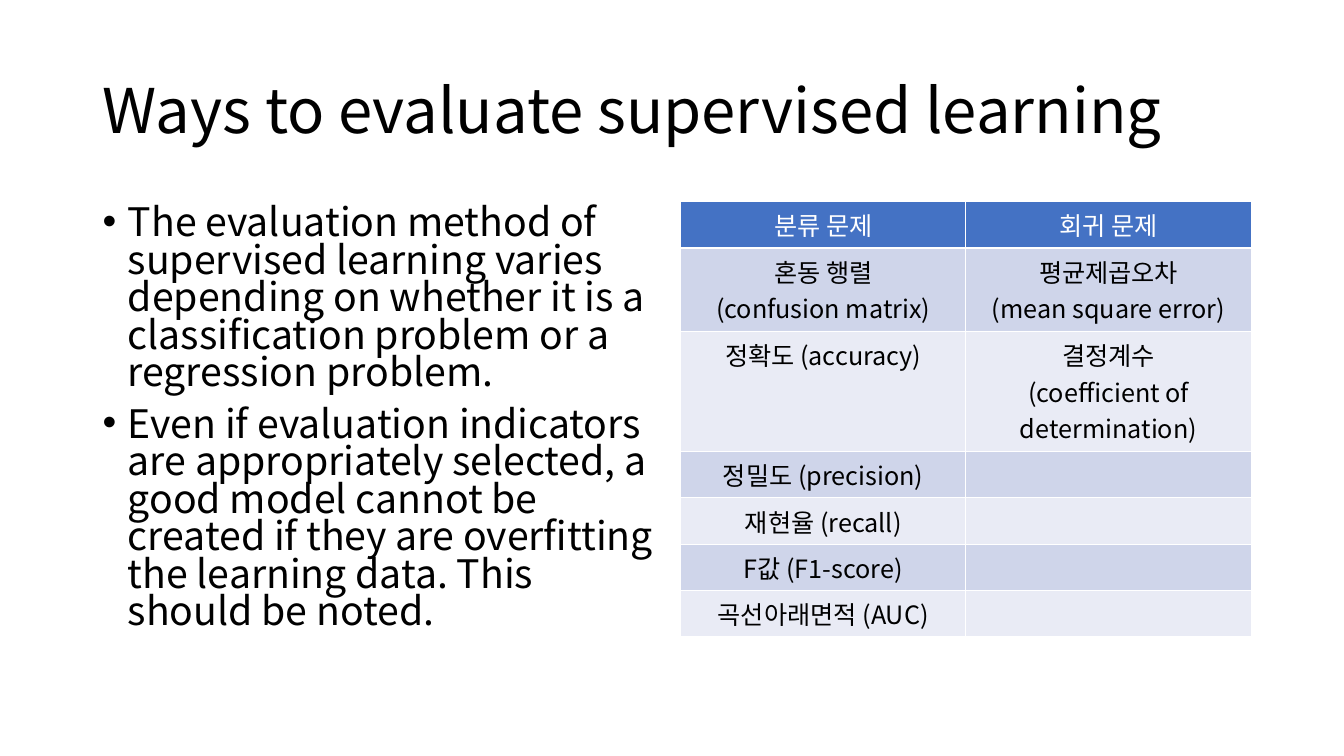
import pptx
import pptx.util
import pptx.dml.color
import pptx.enum.text
import pptx.oxml
from pptx.util import Inches, Pt

FONT = "Noto Sans CJK KR"
NS = 'xmlns:a="http://schemas.openxmlformats.org/drawingml/2006/main"'


def rgb(value):
    return pptx.dml.color.RGBColor.from_string(value)


def style(p, size, color):
    for r in p.runs:
        r.font.size = Pt(size)
        r.font.name = FONT
        r.font.bold = False
        r.font.color.rgb = rgb(color)
        r.font._element.append(pptx.oxml.parse_xml(f'<a:ea {NS} typeface="{FONT}"/>'))


prs = pptx.Presentation()
prs.slide_width, prs.slide_height = Inches(13.33), Inches(7.5)
s = prs.slides.add_slide(prs.slide_layouts[6])

# Title
tf = s.shapes.add_textbox(Inches(0.92), Inches(0.4), Inches(11.5), Inches(1.45)).text_frame
tf.word_wrap = True
tf.vertical_anchor = pptx.enum.text.MSO_ANCHOR.MIDDLE
tf.text = "Ways to evaluate supervised learning"
tf.paragraphs[0].line_spacing = 0.9
style(tf.paragraphs[0], 44, "000000")

# Bulleted text
tf = s.shapes.add_textbox(Inches(0.92), Inches(2), Inches(5.67), Inches(4.76)).text_frame
tf.word_wrap = True
tf.auto_size = pptx.enum.text.MSO_AUTO_SIZE.TEXT_TO_FIT_SHAPE
tf.text = (
    "The evaluation method of supervised learning varies depending on whether it is "
    "a classification problem or a regression problem.\n"
    "Even if evaluation indicators are appropriately selected, a good model cannot be "
    "created if they are overfitting the learning data. This should be noted."
)
for p in tf.paragraphs:
    p.line_spacing = 0.8
    p.space_before = Pt(10)
    style(p, 28, "000000")
    pPr = p._p.get_or_add_pPr()
    pPr.set("marL", str(Inches(0.25)))
    pPr.set("indent", str(-Inches(0.25)))
    pPr.append(pptx.oxml.parse_xml(f'<a:buFont {NS} typeface="Arial"/>'))
    pPr.append(pptx.oxml.parse_xml(f'<a:buChar {NS} char="•"/>'))

# Table of evaluation measures: row height, then the two cells
rows = [
    (0.46, "분류 문제", "회귀 문제"),
    (0.83, "혼동 행렬\n(confusion matrix)", "평균제곱오차\n(mean square error)"),
    (1.19, "정확도 (accuracy)", "결정계수\n(coefficient of determination)"),
    (0.46, "정밀도 (precision)", ""),
    (0.46, "재현율 (recall)", ""),
    (0.46, "F값 (F1-score)", ""),
    (0.46, "곡선아래면적 (AUC)", ""),
]
table_height = sum(row[0] for row in rows)
table = s.shapes.add_table(
    len(rows), 2, Inches(6.75), Inches(2), Inches(5.66), Inches(table_height)
).table
for i, (height, *texts) in enumerate(rows):
    table.rows[i].height = Inches(height)
    fill = "4472C4" if i == 0 else ("E9EBF5", "CFD5EA")[i % 2]
    for j, text in enumerate(texts):
        cell = table.cell(i, j)
        cell.text = text
        for p in cell.text_frame.paragraphs:
            p.alignment = pptx.enum.text.PP_ALIGN.CENTER
            style(p, 18, "FFFFFF" if i == 0 else "000000")
        # White borders go before the fill in the cell properties
        tcPr = cell._tc.get_or_add_tcPr()
        for side in ("lnL", "lnR", "lnT", "lnB"):
            tcPr.append(pptx.oxml.parse_xml(
                f'<a:{side} {NS} w="{Pt(1)}"><a:solidFill><a:srgbClr val="FFFFFF"/>'
                f'</a:solidFill></a:{side}>'))
        cell.fill.solid()
        cell.fill.fore_color.rgb = rgb(fill)

prs.save("out.pptx")
